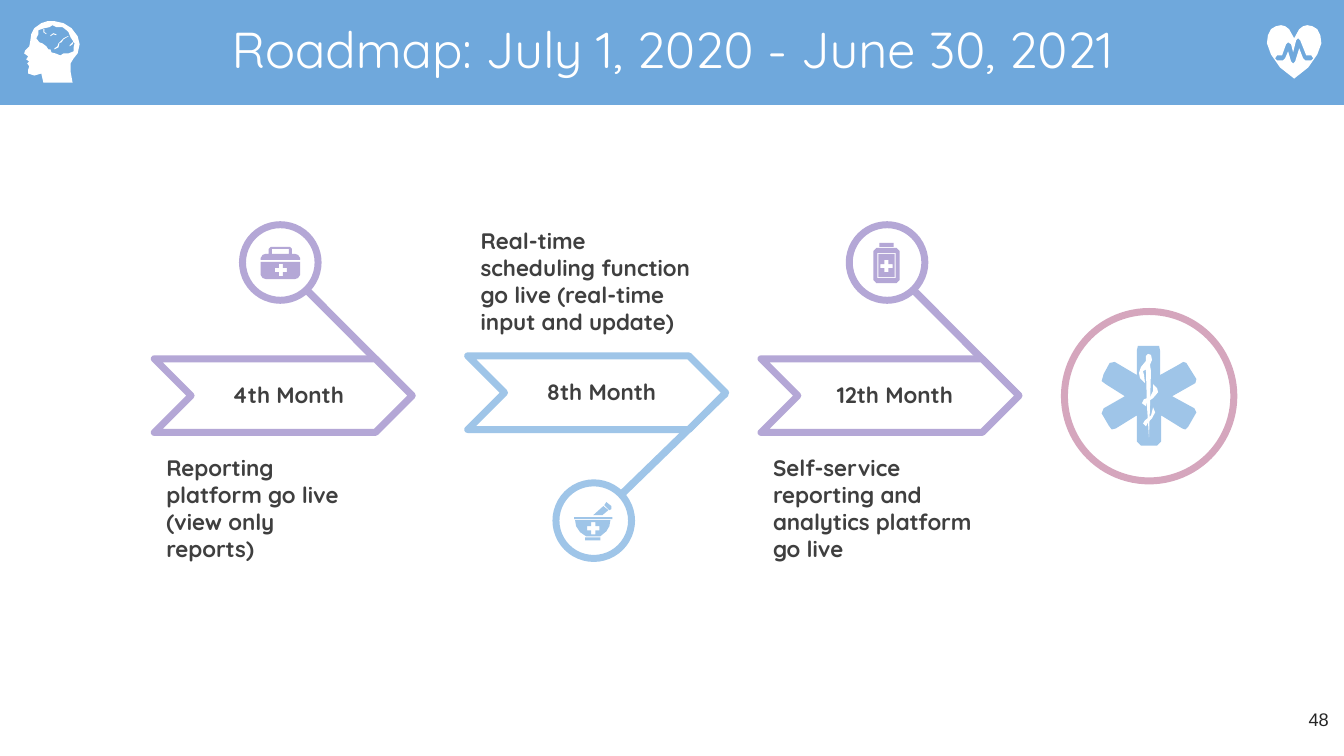
import dataclasses

import pptx
import pptx.dml.color
import pptx.enum.shapes
import pptx.enum.text
import pptx.oxml
import pptx.util
from pptx.util import Pt


@dataclasses.dataclass(frozen=True)
class Theme:
    font: str = "Quicksand"
    number_font: str = "Arial"
    banner: str = "6FA8DC"
    white: str = "FFFFFF"
    purple: str = "B4A7D6"
    blue: str = "9FC5E8"
    pink: str = "D5A6BD"
    text: str = "3F3F3F"
    number: str = "262626"
    title_size: float = 36
    text_size: float = 16
    number_size: float = 13
    outline: float = 5
    stem: float = 5.25


THEME = Theme()
SHAPE = pptx.enum.shapes.MSO_SHAPE
ALIGN = pptx.enum.text.PP_ALIGN
ANCHOR = pptx.enum.text.MSO_ANCHOR

TITLE = "Roadmap: July 1, 2020 - June 30, 2021"
PAGE = "48"
ICON_UNIT = Pt(0.72)


def cross(cx, cy):
    """Outline of a medical plus sign centred at (cx, cy)."""
    a, b = 2, 6
    steps = [(-a, -b), (a, -b), (a, -a), (b, -a), (b, a), (a, a),
             (a, b), (-a, b), (-a, a), (-b, a), (-b, -a), (-a, -a)]
    return [(cx + dx, cy + dy) for dx, dy in steps]


# Icon outlines in icon units; an outline inside another one is a hole.
KIT = [
    [(0, 15), (39, 15), (39, 28), (37, 31), (34, 32), (5, 32), (2, 31), (0, 28)],
    [(10, 0), (29, 0), (31, 2), (31, 7), (34, 7), (37, 8), (39, 11), (39, 13),
     (0, 13), (0, 11), (2, 8), (5, 7), (8, 7), (8, 2)],
    [(11, 2), (11, 7), (28, 7), (28, 2)],
    cross(20, 23),
]
MORTAR = [
    [(11, 35), (26, 35), (26, 38), (11, 38)],
    [(1, 18), (36, 18), (35, 24), (32, 29), (26, 34), (12, 34), (6, 30), (2, 24)],
    [(0, 15), (38, 15), (38, 17), (0, 17)],
    [(29, 4), (34, 8), (28, 13), (19, 13)],
    [(32, 0), (37, 4), (37, 7), (35, 8), (30, 3)],
    cross(19, 26),
]
BOTTLE = [
    [(6, 0), (20, 0), (20, 4), (6, 4)],
    [(0, 8), (3, 5), (23, 5), (26, 8), (26, 37), (23, 40), (3, 40), (0, 37)],
    [(4, 10), (22, 10), (22, 35), (4, 35)],
    [(5, 11), (21, 11), (21, 34), (5, 34)],
    cross(13, 23),
]
STAR = [[
    (37, 0), (58, 0), (59, 5), (59, 29), (77, 19), (82, 16), (85, 17), (95, 33),
    (94, 37), (71, 50), (93, 62), (95, 66), (87, 80), (84, 83), (81, 82), (60, 69),
    (60, 95), (56, 99), (40, 99), (36, 95), (36, 69), (15, 82), (11, 83), (8, 79),
    (1, 67), (3, 62), (24, 50), (5, 38), (1, 35), (3, 28), (9, 17), (14, 16),
    (36, 29), (36, 4)]]
ROD = [[(45, 10), (47, 8), (50, 9), (51, 14), (49, 19), (50, 25), (49, 60),
        (48, 91), (46, 60), (45, 25)]]
SNAKE_TOP = [[(47, 8), (45, 15), (40, 21), (38, 27), (39, 32), (44, 37), (43, 29),
              (42, 25), (46, 23), (49, 20)]]
SNAKE_MIDDLE = [[(52, 38), (56, 42), (57, 46), (52, 52), (46, 56), (45, 60), (41, 57),
                 (43, 53), (49, 51), (52, 45)]]
SNAKE_END = [[(52, 61), (54, 66), (51, 72), (47, 76), (45, 80), (42, 77), (44, 74),
              (50, 69)]]
HEART = [
    [(27, 13), (22, 4), (18, 1), (14, 0), (9, 1), (4, 4), (1, 10), (0, 18), (4, 29),
     (13, 42), (27, 53), (41, 42), (50, 29), (54, 18), (53, 10), (50, 4), (45, 1),
     (40, 0), (36, 1), (32, 4)],
    [(31, 13), (29, 15), (26, 27), (24, 19), (21, 17), (19, 19), (15, 30), (10, 30),
     (8, 33), (10, 35), (16, 35), (18, 33), (21, 26), (24, 36), (26, 38), (28, 36),
     (32, 23), (36, 33), (38, 35), (44, 35), (46, 33), (44, 30), (39, 30), (33, 15)],
]
HEAD = [
    [(30, 0), (39, 2), (47, 7), (53, 15), (55, 23), (53, 32), (49, 37), (46, 42),
     (46, 50), (48, 61), (19, 61), (17, 52), (10, 54), (4, 52), (4, 48), (5, 45),
     (3, 42), (5, 40), (2, 38), (4, 35), (0, 32), (1, 29), (5, 25), (6, 20),
     (7, 13), (10, 7), (17, 2), (23, 0)],
    [(28, 4), (25, 6), (20, 7), (14, 9), (14, 13), (12, 17), (15, 21), (18, 22),
     (22, 25), (24, 28), (26, 28), (27, 31), (31, 32), (36, 34), (39, 32), (44, 32),
     (49, 30), (49, 26), (50, 22), (48, 19), (46, 16), (44, 11), (42, 9), (38, 6),
     (32, 6)],
    [(19, 8), (19, 11), (22, 13), (22, 12), (20, 11), (20, 8)],
    [(26, 15), (29, 13), (32, 14), (32, 13), (29, 12), (26, 14)],
    [(34, 22), (37, 21), (39, 18), (44, 15), (43, 15), (39, 17), (36, 20)],
    [(30, 28), (34, 26), (35, 22), (34, 22), (33, 25), (30, 27)],
    [(45, 25), (48, 23), (49, 20), (47, 22), (45, 24)],
]

# label, description, description width, arrow left and top, colour, icon,
# icon offset in its circle, whether the circle stands above the arrow
MILESTONES = [
    ("4th Month", "Reporting platform go live (view only reports)", 155.5,
     110.2, 256.3, THEME.purple, KIT, (13, 15.8), True),
    ("8th Month", "Real-time scheduling function go live (real-time input and update)",
     168.5, 334.1, 254.2, THEME.blue, MORTAR, (13, 13.7), False),
    ("12th Month", "Self-service reporting and analytics platform go live", 168.5,
     543.6, 256.3, THEME.purple, BOTTLE, (17.3, 13), True),
]


def rgb(color):
    return pptx.dml.color.RGBColor.from_string(color)


def add_shape(s, kind, box, fill, line=None):
    sp = s.shapes.add_shape(kind, *map(Pt, box))
    sp.shadow.inherit = False
    sp.fill.solid()
    sp.fill.fore_color.rgb = rgb(fill)
    if line:
        sp.line.color.rgb = rgb(line)
        sp.line.width = Pt(THEME.outline)
    else:
        sp.line.fill.background()
    return sp


def add_icon(s, outlines, left, top, color):
    builder = None
    for outline in outlines:
        if builder is None:
            builder = s.shapes.build_freeform(*outline[0], scale=ICON_UNIT)
        else:
            builder.move_to(*outline[0])
        builder.add_line_segments(outline[1:], close=True)
    sp = builder.convert_to_shape(Pt(left), Pt(top))
    sp.shadow.inherit = False
    sp.fill.solid()
    sp.fill.fore_color.rgb = rgb(color)
    sp.line.fill.background()


def add_stem(s, start, end, color):
    line = s.shapes.add_connector(pptx.enum.shapes.MSO_CONNECTOR.STRAIGHT,
                                  *map(Pt, (*start, *end)))
    line.line.color.rgb = rgb(color)
    line.line.width = Pt(THEME.stem)
    line._element.spPr.append(pptx.oxml.parse_xml(
        '<a:effectLst xmlns:a="http://schemas.openxmlformats.org/drawingml/2006/main"/>'))


def write(sp, text, size, color, font=THEME.font, bold=False, align=ALIGN.LEFT,
          anchor=ANCHOR.TOP):
    tf = sp.text_frame
    tf.word_wrap = True
    tf.auto_size = pptx.enum.text.MSO_AUTO_SIZE.NONE
    tf.vertical_anchor = anchor
    p = tf.paragraphs[0]
    p.text = text
    p.alignment = align
    p.font.name, p.font.size, p.font.bold = font, Pt(size), bold
    p.font.color.rgb = rgb(color)
    return p


def add_text(s, box, text, **style):
    sp = s.shapes.add_textbox(*map(Pt, box))
    write(sp, text, THEME.text_size, THEME.text, bold=True, **style)


def add_milestone(s, label, text, width, left, top, color, icon, offset, above):
    circle_left = left + 63
    circle_top = top - 95.8 if above else top + 90.7
    stem_start = (left + 109, top - 49) if above else (left + 110.2, top + 98.6)
    stem_end = (left + 184.3, top + 26.6)
    add_stem(s, stem_start, stem_end, color)
    add_shape(s, SHAPE.CHEVRON, (left, top, 184.3, 52.6), THEME.white, color)
    add_shape(s, SHAPE.OVAL, (circle_left, circle_top, 54, 54), THEME.white, color)
    add_icon(s, icon, circle_left + offset[0], circle_top + offset[1], color)
    add_text(s, (left + 43.4, top + 12.2, 104.4, 26.6), label, align=ALIGN.CENTER)
    if above:
        add_text(s, (left + 1.5, top + 64.8, width, 123.8), text)
    else:
        add_text(s, (left + 2.2, top - 105.9, width, 94.3), text, anchor=ANCHOR.BOTTOM)


def main():
    prs = pptx.Presentation()
    prs.slide_width, prs.slide_height = Pt(960), Pt(540)
    s = prs.slides.add_slide(prs.slide_layouts[5])

    banner = add_shape(s, SHAPE.RECTANGLE, (0, 0, 960, 75), THEME.banner)
    title = s.shapes.title
    title._element.addprevious(banner._element)
    title.left, title.top, title.width, title.height = map(Pt, (24.5, 8.6, 911.5, 56.9))
    p = write(title, TITLE, THEME.title_size, THEME.white, align=ALIGN.CENTER,
              anchor=ANCHOR.MIDDLE)
    p.line_spacing = 0.9
    add_icon(s, HEAD, 17.3, 15.1, THEME.white)
    add_icon(s, HEART, 905, 18, THEME.white)

    for milestone in MILESTONES:
        add_milestone(s, *milestone)

    add_shape(s, SHAPE.OVAL, (760.3, 222.5, 121, 121), THEME.white, THEME.pink)
    add_icon(s, STAR, 786.2, 247, THEME.blue)
    for part in (ROD, SNAKE_TOP, SNAKE_MIDDLE, SNAKE_END):
        add_icon(s, part, 786.2, 247, THEME.white)

    number = s.shapes.add_textbox(*map(Pt, (898.6, 499, 57.6, 41)))
    number.text_frame.margin_top = number.text_frame.margin_bottom = Pt(7.2)
    write(number, PAGE, THEME.number_size, THEME.number, font=THEME.number_font,
          align=ALIGN.RIGHT)
    prs.save("out.pptx")


if __name__ == "__main__":
    main()
